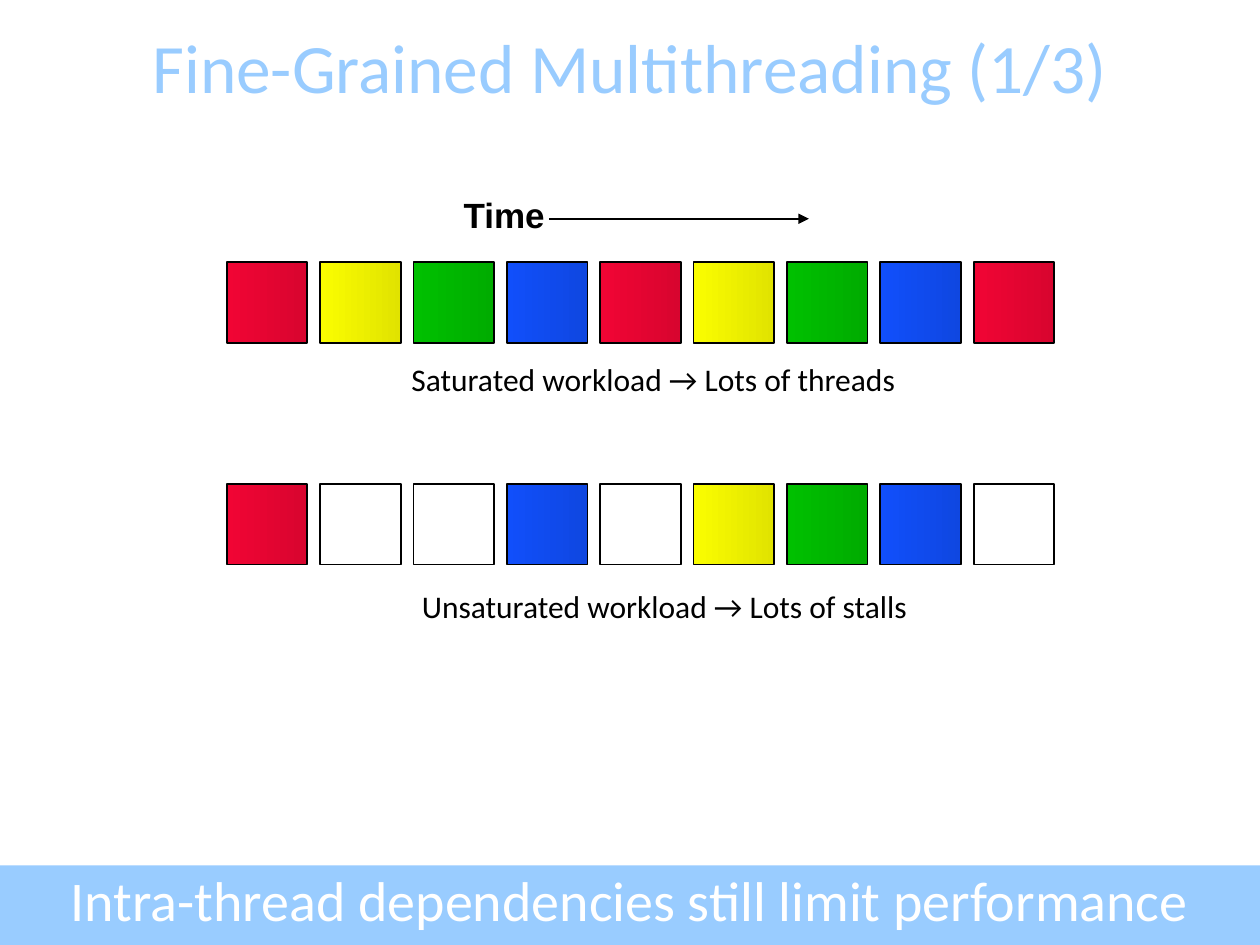
from lxml.etree import SubElement
from pptx import Presentation
from pptx.dml.color import RGBColor
from pptx.enum.shapes import MSO_CONNECTOR, MSO_SHAPE
from pptx.enum.text import MSO_ANCHOR, PP_ALIGN
from pptx.oxml.ns import qn
from pptx.util import Pt

COLORS = {
    "sky": "99CCFF",
    "white": "FFFFFF",
    "black": "000000",
}
THREADS = {
    "red": ("F10534", "D8052F"),
    "yellow": ("FAFD00", "E1E300"),
    "green": ("00C000", "00AC00"),
    "blue": ("114FFB", "0F47E1"),
}
SATURATED = ["red", "yellow", "green", "blue"] * 2 + ["red"]
UNSATURATED = ["red", None, None, "blue", None, "yellow", "green", "blue", None]

SLOT_LEFT, SLOT_SIZE, SLOT_PITCH = 129.6, 46.1, 53.35


def rgb(name):
    return RGBColor.from_string(COLORS[name])


def add_text(slide, text, left, top, width, height, size, color="black",
             font="Calibri", bold=False, align=PP_ALIGN.LEFT,
             anchor=MSO_ANCHOR.TOP):
    label = slide.shapes.add_textbox(Pt(left), Pt(top), Pt(width), Pt(height))
    frame = label.text_frame
    frame.word_wrap = True
    frame.vertical_anchor = anchor
    paragraph = frame.paragraphs[0]
    paragraph.text = text
    paragraph.alignment = align
    paragraph.font.name = font
    paragraph.font.size = Pt(size)
    paragraph.font.bold = bold
    paragraph.font.color.rgb = rgb(color)


def add_rectangle(slide, left, top, width, height):
    rectangle = slide.shapes.add_shape(
        MSO_SHAPE.RECTANGLE, Pt(left), Pt(top), Pt(width), Pt(height))
    rectangle.shadow.inherit = False
    return rectangle


def add_banner(slide, left, top, width, height):
    banner = add_rectangle(slide, left, top, width, height)
    banner.fill.solid()
    banner.fill.fore_color.rgb = rgb("sky")
    banner.line.fill.background()


def add_slot(slide, left, top, thread):
    slot = add_rectangle(slide, left, top, SLOT_SIZE, SLOT_SIZE)
    slot.line.color.rgb = rgb("black")
    slot.line.width = Pt(1)
    if thread is None:
        slot.fill.background()
        return
    slot.fill.gradient()
    slot.fill.gradient_angle = 0
    for stop, shade in zip(slot.fill.gradient_stops, THREADS[thread]):
        stop.color.rgb = RGBColor.from_string(shade)


def add_timeline(slide, top, threads):
    for index, thread in enumerate(threads):
        add_slot(slide, SLOT_LEFT + index * SLOT_PITCH, top, thread)


def add_arrow(slide, start, end, y):
    arrow = slide.shapes.add_connector(
        MSO_CONNECTOR.STRAIGHT, Pt(start), Pt(y), Pt(end), Pt(y))
    arrow.line.color.rgb = rgb("black")
    arrow.line.width = Pt(1)
    SubElement(arrow.line._get_or_add_ln(), qn("a:tailEnd"), type="triangle")
    SubElement(arrow._element.spPr, qn("a:effectLst"))


def main():
    deck = Presentation()
    deck.slide_width, deck.slide_height = Pt(720), Pt(540)
    slide = deck.slides.add_slide(deck.slide_layouts[6])

    add_banner(slide, 0, 494.6, 720, 45.4)
    add_text(slide, "Fine-Grained Multithreading (1/3)", 0, 15.1, 720, 45.4,
             39.6, "sky", align=PP_ALIGN.CENTER, anchor=MSO_ANCHOR.MIDDLE)

    add_text(slide, "Time", 257.8, 107.3, 64.1, 31, 20, font="Arial", bold=True)
    add_arrow(slide, 313.9, 462.2, 125)

    add_timeline(slide, 149.8, SATURATED)
    add_text(slide, "Saturated workload → Lots of threads",
             228, 202.3, 300.2, 28.8, 18)
    add_timeline(slide, 276.5, UNSATURATED)
    add_text(slide, "Unsaturated workload → Lots of stalls",
             234, 331.9, 311.8, 28.8, 18)

    add_text(slide, "Intra-thread dependencies still limit performance",
             0, 491, 720, 45.4, 32, "white", align=PP_ALIGN.CENTER)

    deck.save("out.pptx")


if __name__ == "__main__":
    main()
